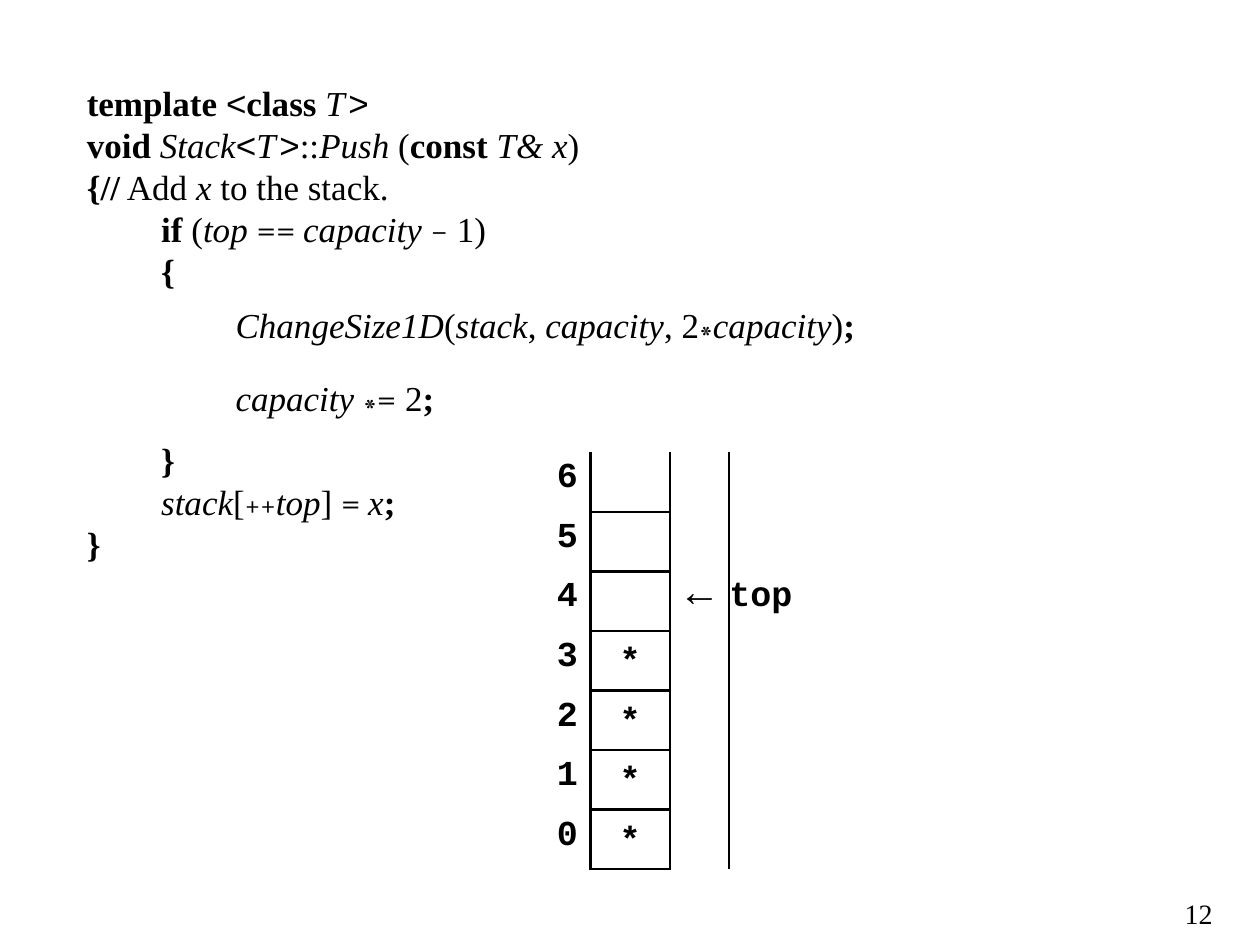
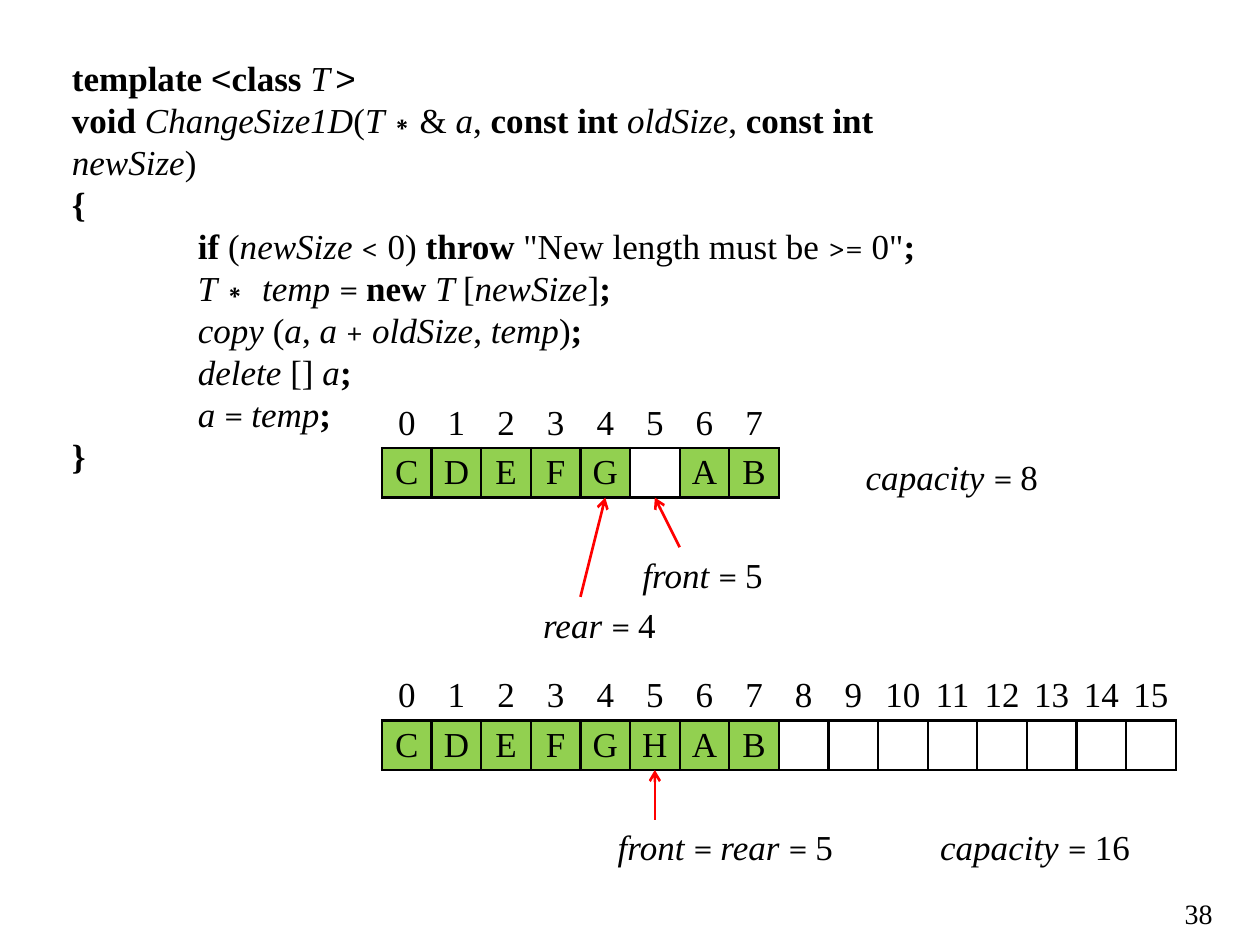
from dataclasses import dataclass
from typing import NamedTuple

from lxml.etree import SubElement
from pptx import Presentation
from pptx.dml.color import RGBColor
from pptx.enum.shapes import MSO_CONNECTOR as Link
from pptx.enum.text import MSO_ANCHOR as Anchor, PP_ALIGN as Align
from pptx.oxml.ns import qn
from pptx.util import Emu, Inches, Pt

# Shared grid and style
MODULE = 3.15 / 8  # side of one array cell, in inches
BLACK, WHITE, GREEN, RED = "000000", "FFFFFF", "92D050", "FF0000"
SERIF, SANS, MATH, MONO = "Times New Roman", "Arial", "Cambria", "Courier New"
SIZE, RULE = 20, 1.5
PLAIN_TABLE = "{2D5ABB26-0587-4C30-8999-92F81FD0307C}"
BORDER_TAGS = {"L": "a:lnL", "R": "a:lnR", "T": "a:lnT", "B": "a:lnB"}


class Area(NamedTuple):
    """A place on the grid, in modules."""
    col: float
    row: float
    cols: float
    rows: float


class Span(NamedTuple):
    text: str
    style: dict


@dataclass
class CodeLine:
    spans: list[Span]
    indent: float = 0
    before: float = 0
    after: float = 0


@dataclass
class CellStyle:
    font: str = SERIF
    size: float = SIZE
    bold: bool = False
    align: Align = Align.CENTER
    anchor: Anchor = Anchor.TOP
    insets: tuple[float, ...] = (0.1, 0.05, 0.1, 0.05)
    borders: str = ""
    fill: str | None = None


@dataclass
class ArrayRow:
    row: float
    values: str
    length: int


@dataclass
class Pointer:
    start: tuple[float, float]
    end: tuple[float, float]


def modules(count: float) -> Emu:
    return Inches(count * MODULE)


def color(value: str) -> RGBColor:
    return RGBColor.from_string(value)


# Kinds of text
def span(text: str, **style) -> Span:
    return Span(text, style)


def bold(text: str) -> Span:
    return span(text, bold=True)


def italic(text: str, **style) -> Span:
    return span(text, italic=True, **style)


def sans(text: str) -> Span:
    return span(text, font=SANS)


def math(text: str, **style) -> Span:
    return span(text, font=MATH, **style)


def times() -> Span:
    return math("*", size=32, baseline=-18)


def add_span(para, text: str, *, font: str = SERIF, size: float = SIZE, bold: bool = False,
             italic: bool = False, spacing: float = 0, baseline: int = 0) -> None:
    run = para.add_run()
    run.text = text
    run.font.name, run.font.size = font, Pt(size)
    run.font.bold, run.font.italic = bold, italic
    run.font.color.rgb = color(BLACK)
    properties = run.font._element
    if spacing:
        properties.set("spc", str(int(spacing * 100)))
    if baseline:
        properties.set("baseline", str(baseline * 1000))


def add_box(page, area: Area):
    left, top, width, height = map(modules, area)
    frame = page.shapes.add_textbox(left, top, width, height).text_frame
    frame.word_wrap = True
    return frame


def add_label(page, area: Area, spans: list[Span], align: Align = Align.LEFT) -> None:
    para = add_box(page, area).paragraphs[0]
    para.alignment = align
    for text, style in spans:
        add_span(para, text, **style)


def add_page_number(page, number: int) -> None:
    add_label(page, Area(23.49, 17.95, 1.2, 0.8), [span(str(number), size=16)], Align.RIGHT)


def add_code(page, area: Area, lines: list[CodeLine]) -> None:
    frame = add_box(page, area)
    for index, line in enumerate(lines):
        para = frame.add_paragraph() if index else frame.paragraphs[0]
        para.line_spacing = Pt(24)
        para.space_before, para.space_after = Pt(line.before), Pt(line.after)
        properties = para._p.get_or_add_pPr()
        properties.set("marL", str(modules(line.indent)))
        properties.set("indent", "0")
        for text, style in line.spans:
            add_span(para, text, **style)


# Tables and arrows
def add_grid(page, col: float, row: float, widths: list[float], heights: list[float]):
    table = page.shapes.add_table(len(heights), len(widths), modules(col), modules(row),
                                  modules(sum(widths)), modules(sum(heights))).table
    table.first_row = table.horz_banding = False
    table._tbl.tblPr.find(qn("a:tableStyleId")).text = PLAIN_TABLE
    for column, width in zip(table.columns, widths):
        column.width = modules(width)
    for line, height in zip(table.rows, heights):
        line.height = modules(height)
    return table


def fill_cell(cell, text: str, style: CellStyle) -> None:
    properties = cell._tc.get_or_add_tcPr()
    for side, tag in BORDER_TAGS.items():
        if side in style.borders:
            border = SubElement(properties, qn(tag), w=str(Pt(RULE)))
            paint = SubElement(border, qn("a:solidFill"))
            SubElement(paint, qn("a:srgbClr"), val=BLACK)
    if style.fill:
        cell.fill.solid()
        cell.fill.fore_color.rgb = color(style.fill)
    else:
        cell.fill.background()
    cell.margin_left, cell.margin_top, cell.margin_right, cell.margin_bottom = map(
        Inches, style.insets)
    cell.vertical_anchor = style.anchor
    para = cell.text_frame.paragraphs[0]
    para.alignment = style.align
    if text:
        add_span(para, text, font=style.font, size=style.size, bold=style.bold)
    else:
        para.font.size = Pt(SIZE)


def add_pointer(page, pointer: Pointer) -> None:
    ends = map(modules, pointer.start + pointer.end)
    arrow = page.shapes.add_connector(Link.STRAIGHT, *ends)
    arrow.line.color.rgb = color(RED)
    arrow.line.width = Pt(RULE)
    SubElement(arrow.line._get_or_add_ln(), qn("a:tailEnd"), type="arrow")
    SubElement(arrow._element.spPr, qn("a:effectLst"))


def add_stack(page, size: int, used: int, top: int) -> None:
    table = add_grid(page, 10.7, 9.12, [1.2, 1.6, 1.2, 1.6], [1.2] * size)
    for row in range(size):
        index = size - 1 - row
        slot_borders = "LRB" + ("T" if row else "")
        is_top = index == top
        cells = [
            (str(index), CellStyle(MONO, bold=True, align=Align.RIGHT)),
            ("*" if index < used else "", CellStyle(
                MONO, bold=True, insets=(0.1, 0.1, 0.1, 0), borders=slot_borders)),
            ("←" if is_top else "", CellStyle(
                MONO, 24, True, insets=(0.1, 0, 0.1, 0.04), borders="L")),
            ("top" if is_top else "", CellStyle(
                MONO, bold=True, align=Align.LEFT, insets=(0, 0.05, 0.1, 0.05))),
        ]
        for col, (text, style) in enumerate(cells):
            fill_cell(table.cell(row, col), text, style)


def add_array(page, array: ArrayRow) -> None:
    table = add_grid(page, ARRAY_LEFT, array.row, [1] * array.length, [1, 1])
    layout = dict(anchor=Anchor.MIDDLE, insets=(0, 0, 0, 0))
    for col, value in enumerate(array.values.ljust(array.length)):
        value = value.strip()
        fill_cell(table.cell(0, col), str(col), CellStyle(borders="B", **layout))
        fill_cell(table.cell(1, col), value, CellStyle(
            borders="LRTB", fill=GREEN if value else WHITE, **layout))


# Slide contents
def template_line(spacing: float) -> CodeLine:
    return CodeLine([bold("template "), sans("<"), bold("class "),
                     italic("T", spacing=spacing), sans(">")])


STEP = 1.5
PUSH_CODE = [
    template_line(2),
    CodeLine([bold("void "), italic("Stack"), sans("<"), italic("T", spacing=2), sans(">"),
              span("::"), italic("Push "), span("("), bold("const "), italic("T& x"), span(")")]),
    CodeLine([bold("{//"), span(" Add "), italic("x"), span(" to the stack.")]),
    CodeLine([bold("if"), span(" ("), italic("top "), math("== "), italic("capacity "),
              math("−", size=18), span(" 1)")], STEP),
    CodeLine([bold("{")], STEP),
    CodeLine([italic("ChangeSize1D"), span("("), italic("stack"), span(", "),
              italic("capacity"), span(", 2"), times(), italic("capacity"), span(")"),
              bold(";")], 2 * STEP, 12, 6),
    CodeLine([italic("capacity "), times(), math("="), span(" 2"), bold(";")], 2 * STEP, 12, 6),
    CodeLine([bold("}")], STEP),
    CodeLine([italic("stack"), span("["), math("++", size=16), italic("top"), span("] "),
              math("= "), italic("x"), bold(";")], STEP),
    CodeLine([bold("}")]),
]

TAB = 1 / MODULE
RESIZE_CODE = [
    template_line(3),
    CodeLine([bold("void "), italic("ChangeSize1D"), span("("), italic("T"), sans("∗"),
              span("& "), italic("a"), span(", "), bold("const int "), italic("oldSize"),
              span(", "), bold("const int "), italic("newSize"), span(")")]),
    CodeLine([bold("{")]),
    CodeLine([bold("if "), span("("), italic("newSize "), math("<", size=18), span(" 0) "),
              bold("throw "), span('"New length must be '), math(">=", size=18), span(' 0"'),
              bold(";")], TAB),
    CodeLine([italic("T"), sans("∗ "), italic("temp "), math("= "), bold("new "),
              italic("T "), span("["), italic("newSize"), span("]"), bold(";")], TAB),
    CodeLine([italic("copy "), span("("), italic("a"), span(", "), italic("a "),
              math("+", size=18), span(" "), italic("oldSize"), span(", "), italic("temp"),
              span(")"), bold(";")], TAB),
    CodeLine([italic("delete"), span(" [] "), italic("a"), bold(";")], TAB),
    CodeLine([italic("a "), math("= "), italic("temp"), bold(";")], TAB),
    CodeLine([bold("}")]),
]

ARRAY_LEFT = 7.7
SMALL = ArrayRow(8.03, "CDEFG AB", 8)
LARGE = ArrayRow(13.52, "CDEFGHAB", 16)
SMALL_END, LARGE_END = SMALL.row + 2, LARGE.row + 2
REAR, FRONT = ARRAY_LEFT + 4.5, ARRAY_LEFT + 5.5  # middles of cells 4 and 5
POINTERS = [
    Pointer((FRONT + 0.5, SMALL_END + 1), (FRONT, SMALL_END)),
    Pointer((REAR - 0.5, SMALL_END + 2), (REAR, SMALL_END)),
    Pointer((FRONT, LARGE_END + 1), (FRONT, LARGE_END)),
]
LABELS = [
    (Area(17.2, 9.05, 4.5, 1), ["capacity"], "8"),
    (Area(18.7, LARGE_END + 1, 4.5, 1), ["capacity"], "16"),
    (Area(12.7, SMALL_END + 1, 3.5, 1), ["front"], "5"),
    (Area(10.7, SMALL_END + 2, 3, 1), ["rear"], "4"),
    (Area(12.2, LARGE_END + 1, 5.5, 1), ["front", "rear"], "5"),
]


def main() -> None:
    deck = Presentation()
    deck.slide_width, deck.slide_height = Inches(10), Inches(7.5)
    push_page, resize_page = (deck.slides.add_slide(deck.slide_layouts[6]) for _ in range(2))

    # Pushing onto a stack
    add_code(push_page, Area(1.5, 1.52, 16.4, 8.8), PUSH_CODE)
    add_page_number(push_page, 12)
    add_stack(push_page, size=7, used=4, top=4)

    # Doubling a circular queue
    add_code(resize_page, Area(1.2, 1.02, 19, 8), RESIZE_CODE)
    add_page_number(resize_page, 38)
    for array in (SMALL, LARGE):
        add_array(resize_page, array)
    for area, names, value in LABELS:
        spans = [part for name in names for part in (italic(name + " "), math("= "))]
        add_label(resize_page, area, spans + [span(value)])
    for pointer in POINTERS:
        add_pointer(resize_page, pointer)
    deck.save("out.pptx")


if __name__ == "__main__":
    main()
